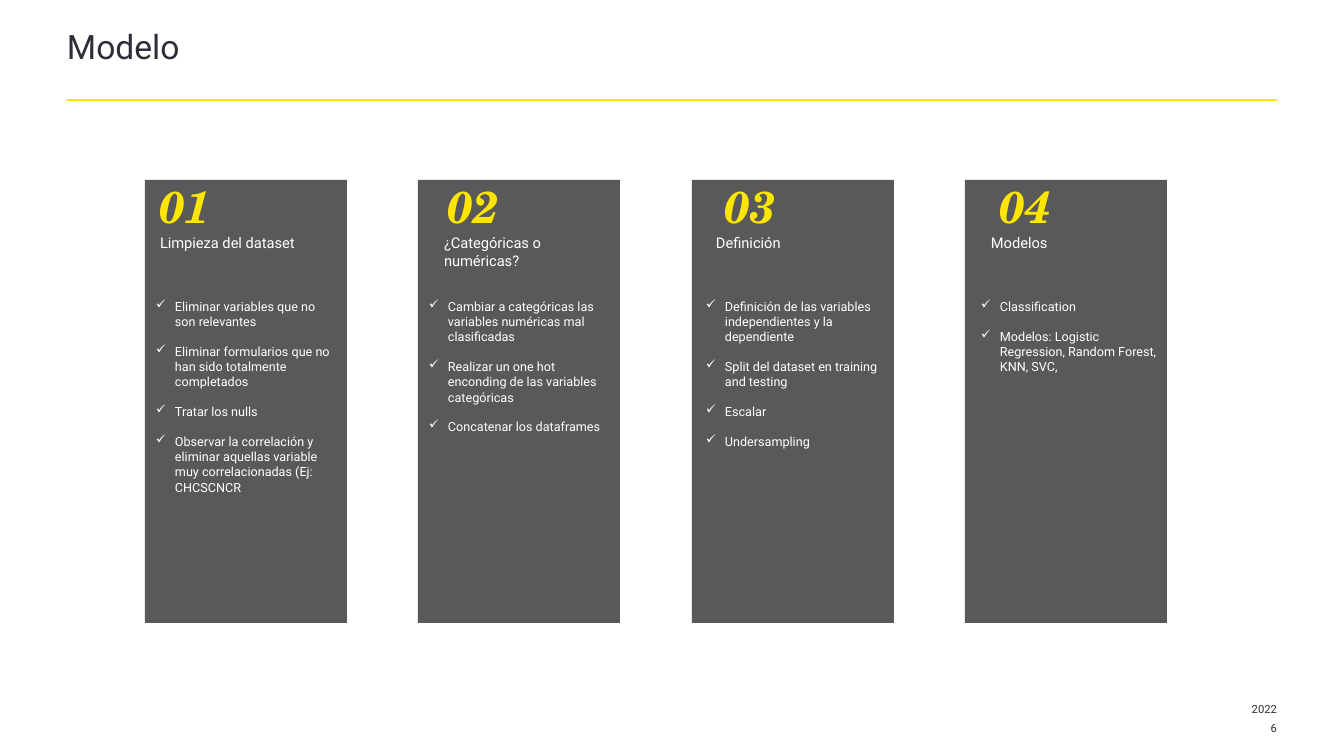
from lxml.etree import SubElement
from pptx import Presentation
from pptx.dml.color import RGBColor
from pptx.enum.shapes import MSO_CONNECTOR, MSO_SHAPE
from pptx.enum.text import MSO_ANCHOR, PP_ALIGN
from pptx.oxml.ns import qn
from pptx.util import Pt

PX = 12700 * 5 // 7  # 100.8 px to the inch
COLORS = {"ink": "2E2E38", "accent": "FFE600", "card": "595959", "white": "FFFFFF"}
SANS, SERIF = "Roboto", "TeX Gyre Schola"

# number, number left, number width, heading left, list left, heading, points
STEPS = [
    ("01", 156, 58, 160, 156, "Limpieza del dataset", [
        "Eliminar variables que no son relevantes",
        "Eliminar formularios que no han sido totalmente completados",
        "Tratar los nulls",
        "Observar la correlación y eliminar aquellas variable muy correlacionadas (Ej: CHCSCNCR",
    ]),
    ("02", 439, 69, 444, 429, "¿Categóricas o numéricas?", [
        "Cambiar a categóricas las variables numéricas mal clasificadas",
        "Realizar un one hot enconding de las variables categóricas",
        "Concatenar los dataframes",
    ]),
    ("03", 716, 69, 716, 706, "Definición", [
        "Definición de las variables independientes y la dependiente",
        "Split del dataset en training and testing",
        "Escalar",
        "Undersampling",
    ]),
    ("04", 991, 69, 991, 981, "Modelos", [
        "Classification",
        "Modelos: Logistic Regression, Random Forest, KNN, SVC,",
    ]),
]


def frame(shape, left, top, width, height):
    """Place a text shape and return its text frame, wrapped and without insets."""
    shape.left, shape.top = left * PX, top * PX
    shape.width, shape.height = width * PX, height * PX
    text = shape.text_frame
    text.word_wrap = True
    text.vertical_anchor = MSO_ANCHOR.TOP
    text.margin_left = text.margin_right = text.margin_top = text.margin_bottom = 0
    return text


def write(para, words, size, color, font=SANS, align=PP_ALIGN.LEFT):
    para.alignment = align
    run = para.add_run()
    run.text = words
    run.font.name = font
    run.font.size = Pt(size)
    run.font.color.rgb = RGBColor.from_string(COLORS[color])
    return run


deck = Presentation()
deck.slide_width, deck.slide_height = 1344 * PX, 756 * PX
slide = deck.slides.add_slide(deck.slide_layouts[5])
shapes = slide.shapes

title = frame(shapes.title, 67, 32, 1210, 66).paragraphs[0]
title.line_spacing = 0.85
write(title, "Modelo", 24, "ink")

rule = shapes.add_connector(MSO_CONNECTOR.STRAIGHT, 67 * PX, 100 * PX, 1277 * PX, 100 * PX)
rule.line.color.rgb = RGBColor.from_string(COLORS["accent"])
rule.line.width = Pt(1.5)
SubElement(rule._element.spPr, qn("a:effectLst"))

for i, (number, num_x, num_w, head_x, list_x, heading, points) in enumerate(STEPS):
    card = shapes.add_shape(MSO_SHAPE.RECTANGLE, (145 + 547 * i // 2) * PX, 180 * PX,
                            202 * PX, 443 * PX)
    card.shadow.inherit = False
    card.fill.solid()
    card.fill.fore_color.rgb = RGBColor.from_string(COLORS["card"])
    card.line.fill.background()

    text = frame(shapes.add_textbox(0, 0, 0, 0), num_x, 179, num_w, 54)
    run = write(text.paragraphs[0], number, 32, "accent", SERIF, PP_ALIGN.CENTER)
    run.font.bold = run.font.italic = True

    text = frame(shapes.add_textbox(0, 0, 0, 0), head_x, 234, 151, 21)
    write(text.paragraphs[0], heading, 10.5, "white")

    text = frame(shapes.add_textbox(0, 0, 0, 0), list_x, 299, 180, 186)
    for j, point in enumerate(points):
        para = text.add_paragraph() if j else text.paragraphs[0]
        props = para._p.get_or_add_pPr()
        props.set("marL", str(19 * PX))
        props.set("indent", str(-19 * PX))
        SubElement(props, qn("a:buChar"), char="✓")
        if j:
            para.space_before = Pt(10.5)
        write(para, point, 9, "white")

for words, top in (("2022", 702), ("6", 721)):
    text = frame(shapes.add_textbox(0, 0, 0, 0), 1017, top, 260, 14)
    write(text.paragraphs[0], words, 8, "ink", align=PP_ALIGN.RIGHT)

deck.save("out.pptx")
